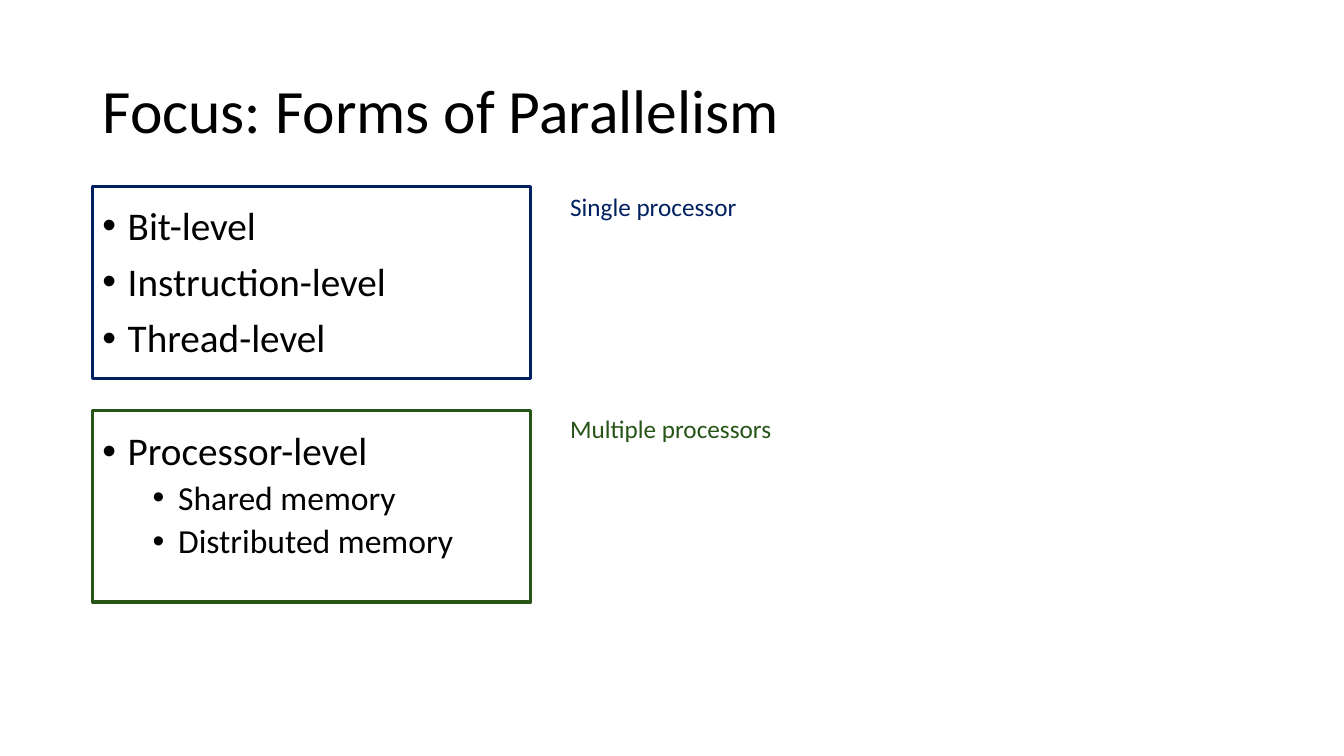
import pptx
import pptx.dml.color
import pptx.enum.shapes
import pptx.enum.text
import pptx.oxml
import pptx.oxml.ns
import pptx.util
from pptx.util import Cm, Pt

COLOURS = {"text": "000000", "single": "002060", "multiple": "275417"}
LEFT = Cm(2.33)
TEXT_WIDTH = Cm(29.21)

# Per list level: indent, font size and space before
LEVELS = [
    {"indent": Cm(0.64), "size": Pt(28), "space_before": Pt(10)},
    {"indent": Cm(1.91), "size": Pt(24), "space_before": Pt(5)},
]
GROUP_GAP = Pt(40.4)
GROUPS = [
    [("Bit-level", 0), ("Instruction-level", 0), ("Thread-level", 0)],
    [("Processor-level", 0), ("Shared memory", 1), ("Distributed memory", 1)],
]
# Label, colour, top of the frame, top of the label
FRAMES = [
    ("Single processor", "single", Cm(4.7), Cm(4.7)),
    ("Multiple processors", "multiple", Cm(10.34), Cm(10.29)),
]


def rgb(name):
    return pptx.dml.color.RGBColor.from_string(COLOURS[name])


def set_attributes(target, values):
    for name, value in values.items():
        setattr(target, name, value)


def write(paragraph, text, size, colour="text"):
    run = paragraph.add_run()
    run.text = text
    set_attributes(run.font, {"name": "Calibri", "size": size})
    run.font.color.rgb = rgb(colour)


def add_bullet(paragraph, indent):
    properties = paragraph._p.get_or_add_pPr()
    properties.set("marL", str(indent))
    properties.set("indent", str(-Cm(0.64)))
    for tag, name, value in (("buFont", "typeface", "Arial"), ("buChar", "char", "•")):
        bullet = pptx.oxml.parse_xml(
            f'<a:{tag} {pptx.oxml.ns.nsdecls("a")} {name}="{value}"/>')
        properties.append(bullet)


def add_title(slide, text):
    title = slide.shapes.title
    set_attributes(title, {"left": LEFT, "top": Cm(1.01),
                           "width": TEXT_WIDTH, "height": Cm(3.68)})
    set_attributes(title.text_frame, {
        "auto_size": pptx.enum.text.MSO_AUTO_SIZE.NONE,
        "vertical_anchor": pptx.enum.text.MSO_ANCHOR.MIDDLE,
        "word_wrap": True})
    paragraph = title.text_frame.paragraphs[0]
    set_attributes(paragraph, {"alignment": pptx.enum.text.PP_ALIGN.LEFT,
                               "line_spacing": 0.9})
    write(paragraph, text, Pt(44))


def add_grouped_list(slide, groups):
    """Add one bulleted list, with a wider gap before each later group."""
    frame = slide.shapes.add_textbox(LEFT, Cm(5.07), TEXT_WIDTH, Cm(12.09)).text_frame
    frame.word_wrap = True
    paragraph = frame.paragraphs[0]
    for group_index, group in enumerate(groups):
        for item_index, (text, level) in enumerate(group):
            if group_index or item_index:
                paragraph = frame.add_paragraph()
            style = LEVELS[level]
            starts_later_group = group_index > 0 and item_index == 0
            set_attributes(paragraph, {
                "level": level,
                "line_spacing": 0.9,
                "space_before": style["space_before"] + GROUP_GAP * starts_later_group})
            add_bullet(paragraph, style["indent"])
            write(paragraph, text, style["size"])


def add_frame(slide, colour, top):
    rectangle = slide.shapes.add_shape(
        pptx.enum.shapes.MSO_SHAPE.RECTANGLE, LEFT, top, Cm(11.05), Cm(4.83))
    rectangle.shadow.inherit = False
    rectangle.fill.background()
    rectangle.line.color.rgb = rgb(colour)
    rectangle.line.width = Pt(2.25)


def add_label(slide, text, colour, top):
    frame = slide.shapes.add_textbox(Cm(14.12), top, Cm(6), Cm(1.03)).text_frame
    frame.word_wrap = True
    write(frame.paragraphs[0], text, Pt(18), colour)


def main():
    presentation = pptx.Presentation()
    set_attributes(presentation, {"slide_width": Cm(33.87), "slide_height": Cm(19.05)})
    slide = presentation.slides.add_slide(presentation.slide_layouts[5])
    add_title(slide, "Focus: Forms of Parallelism")
    add_grouped_list(slide, GROUPS)
    for label, colour, frame_top, label_top in FRAMES:
        add_frame(slide, colour, frame_top)
        add_label(slide, label, colour, label_top)
    presentation.save("out.pptx")


if __name__ == "__main__":
    main()
